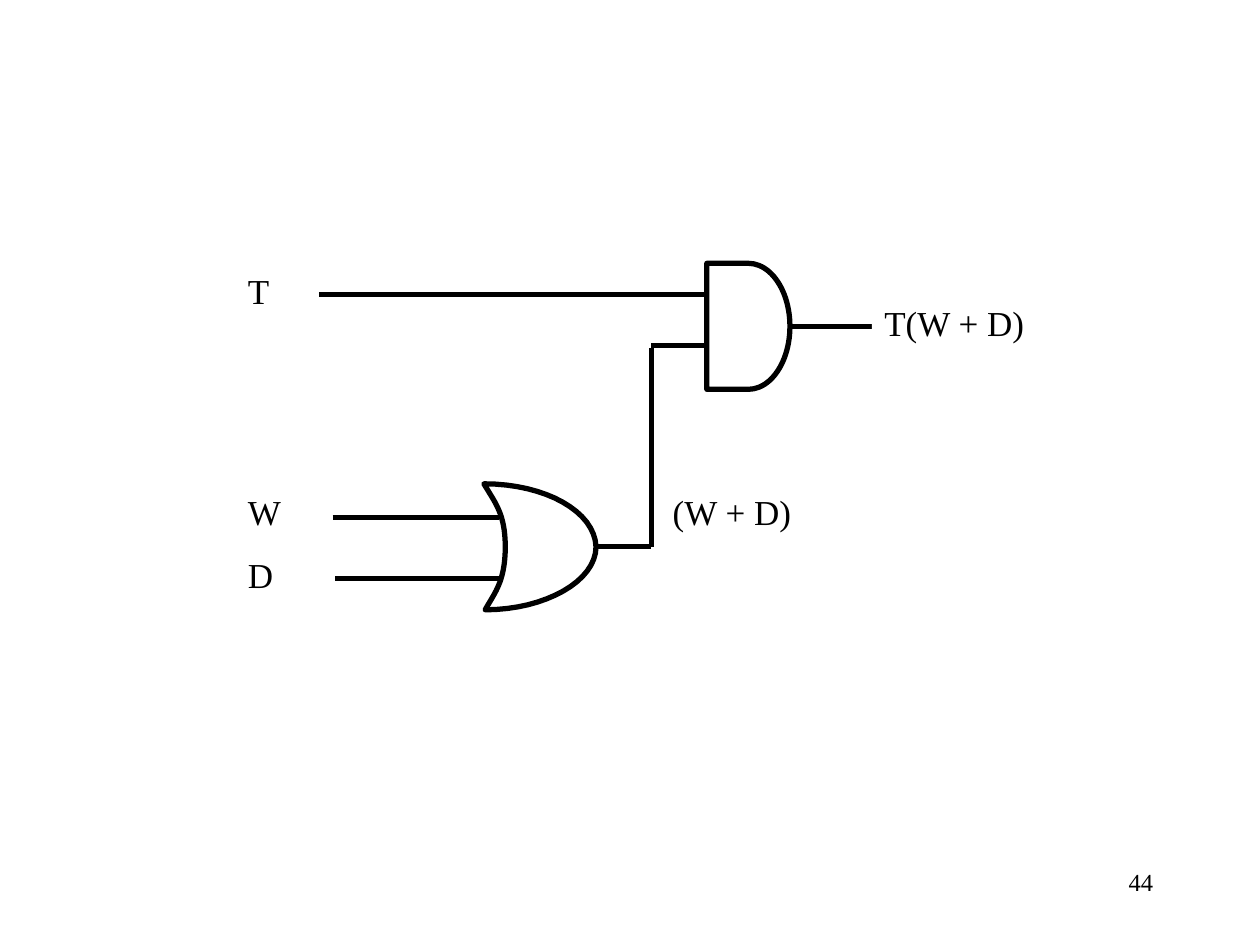
from pptx import Presentation
from pptx.dml.color import RGBColor
from pptx.enum.shapes import MSO_CONNECTOR as Connector, MSO_SHAPE as Shape
from pptx.enum.text import MSO_ANCHOR as Anchor, PP_ALIGN as Align
from pptx.oxml.ns import qn
from pptx.util import Inches, Pt
from lxml.etree import SubElement

BLACK, WHITE = "000000", "FFFFFF"
FONT = "Times New Roman"
GATE_HEIGHT = 1
OR_TOP, OR_MIDDLE, OR_BOTTOM = 3.84, 4.34, 4.84
AND_LEFT, AND_TOP, AND_WIDTH = 5.61, 2.09, 0.66
AND_RIGHT = AND_LEFT + AND_WIDTH
AND_MIDDLE = AND_TOP + GATE_HEIGHT / 2
JOINT = 5.17

OR_START = (3.85, OR_BOTTOM)
OR_CURVES = [
    [(3.93, 4.7), (4.01, 4.61), (4.01, OR_MIDDLE)],
    [(4.01, 4.08), (3.93, 3.99), (3.84, OR_TOP)],
    [(4.33, OR_TOP), (4.72, 4.06), (4.73, OR_MIDDLE)],
    [(4.73, 4.61), (4.33, OR_BOTTOM), OR_START],
]
WIRES = [
    (2.53, 2.34, AND_LEFT, 2.34),
    (2.64, 4.11, 3.96, 4.11),
    (2.66, 4.59, 3.98, 4.59),
    (AND_LEFT, 2.74, JOINT, 2.74),
    (JOINT, 2.76, JOINT, OR_MIDDLE),
    (4.73, OR_MIDDLE, JOINT, OR_MIDDLE),
    (AND_RIGHT, AND_MIDDLE, 6.92, AND_MIDDLE),
]
LABELS = [
    ("D", 1.87, 4.34, 0.66),
    ("W", 1.87, 3.84, 0.66),
    ("T", 1.87, 2.09, 0.66),
    ("(W + D)", 5.24, 3.84, 1.32),
    ("T(W + D)", 6.92, 2.34, 1.54),
]


def color(value):
    return RGBColor.from_string(value)


def style_line(line):
    line.color.rgb = color(BLACK)
    line.width = Pt(3)


def style_gate(gate):
    gate.shadow.inherit = False
    gate.fill.solid()
    gate.fill.fore_color.rgb = color(WHITE)
    style_line(gate.line)


def curve_points(start, first, second, end, steps=16):
    for step in range(1, steps + 1):
        t = step / steps
        weights = ((1 - t) ** 3, 3 * t * (1 - t) ** 2, 3 * t * t * (1 - t), t ** 3)
        yield tuple(
            Inches(sum(weight * value for weight, value in zip(weights, axis)))
            for axis in zip(start, first, second, end)
        )


def add_or_gate(page):
    builder = page.shapes.build_freeform(*map(Inches, OR_START))
    start = OR_START
    for curve in OR_CURVES:
        builder.add_line_segments(list(curve_points(start, *curve)), close=False)
        start = curve[-1]
    builder.add_line_segments([], close=True)
    style_gate(builder.convert_to_shape())


def add_and_gate(page):
    bounds = map(Inches, (AND_LEFT, AND_TOP, AND_WIDTH, GATE_HEIGHT))
    style_gate(page.shapes.add_shape(Shape.FLOWCHART_DELAY, *bounds))


def add_wire(page, *ends):
    wire = page.shapes.add_connector(Connector.STRAIGHT, *map(Inches, ends))
    style_line(wire.line)
    SubElement(wire._element.spPr, qn("a:effectLst"))


def write_text(box, text, size, align):
    frame = box.text_frame
    frame.word_wrap = True
    frame.vertical_anchor = Anchor.TOP
    para = frame.paragraphs[0]
    para.alignment = align
    span = para.add_run()
    span.text = text
    span.font.name = FONT
    span.font.size = Pt(size)
    span.font.color.rgb = color(BLACK)


def add_label(page, text, left, top, width):
    bounds = map(Inches, (left, top, width, 0.5))
    box = page.shapes.add_shape(Shape.RECTANGLE, *bounds)
    box.shadow.inherit = False
    box.fill.solid()
    box.fill.fore_color.rgb = color(WHITE)
    box.line.fill.background()
    write_text(box, text, 20, Align.LEFT)


def add_page_number(page, text):
    box = page.shapes.add_textbox(*map(Inches, (7.17, 6.83, 2.08, 0.5)))
    write_text(box, text, 14, Align.RIGHT)


def main():
    deck = Presentation()
    deck.slide_width, deck.slide_height = Inches(10), Inches(7.5)
    page = deck.slides.add_slide(deck.slide_layouts[6])
    add_page_number(page, "44")
    add_or_gate(page)
    add_and_gate(page)
    for wire in WIRES:
        add_wire(page, *wire)
    for label in LABELS:
        add_label(page, *label)
    deck.save("out.pptx")


main()
